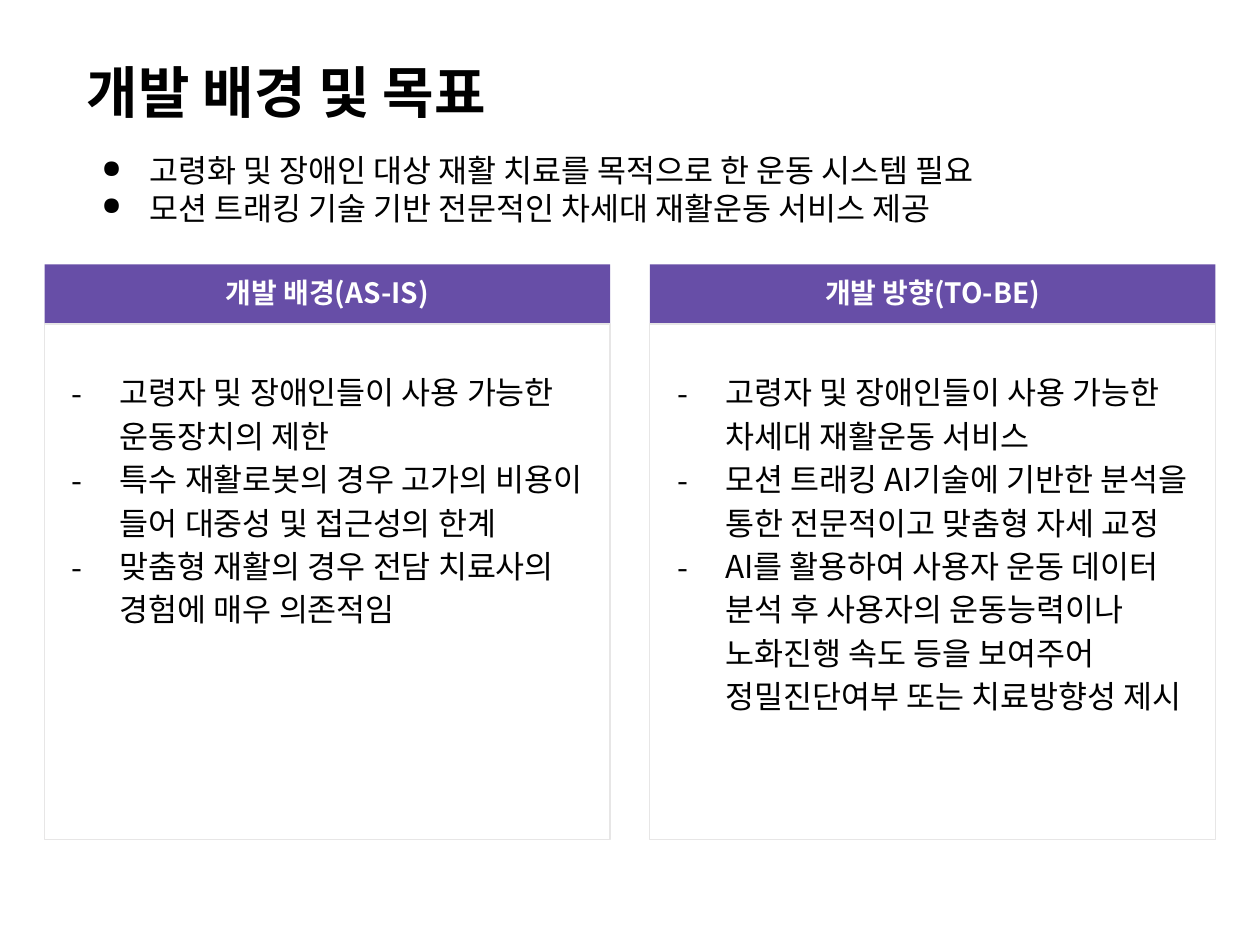
from lxml.etree import SubElement as Sub
from pptx import Presentation
from pptx.dml.color import RGBColor as Rgb
from pptx.enum.shapes import MSO_SHAPE as Form
from pptx.enum.text import MSO_ANCHOR as Anchor, PP_ALIGN as Align
from pptx.oxml.ns import qn
from pptx.util import Cm, Pt

FONT = "Noto Sans CJK KR"
HUE = {"ink": "000000", "paper": "FFFFFF", "head": "674EA7", "edge": "E7E6E6"}
WIDE, TALL = 25.4, 19.05
SIDE, INSET = 0.9, 1.5
CARD, HEAD, BODY = 11.4, 1.2, 10.39
TOP = 5.33

GOALS = [
    "고령화 및 장애인 대상 재활 치료를 목적으로 한 운동 시스템 필요",
    "모션 트래킹 기술 기반 전문적인 차세대 재활운동 서비스 제공",
]
CARDS = [
    ("개발 배경(AS-IS)", [
        "고령자 및 장애인들이 사용 가능한 운동장치의 제한",
        "특수 재활로봇의 경우 고가의 비용이 들어 대중성 및 접근성의 한계",
        "맞춤형 재활의 경우 전담 치료사의 경험에 매우 의존적임",
    ]),
    ("개발 방향(TO-BE)", [
        "고령자 및 장애인들이 사용 가능한 차세대 재활운동 서비스",
        "모션 트래킹 AI기술에 기반한 분석을 통한 전문적이고 맞춤형 자세 교정",
        "AI를 활용하여 사용자 운동 데이터 분석 후 사용자의 운동능력이나 "
        "노화진행 속도 등을 보여주어 정밀진단여부 또는 치료방향성 제시",
    ]),
]


def tint(name):
    """Return the named colour."""
    return Rgb.from_string(HUE[name])


def add_run(para, text, size, hue="ink", bold=False):
    """Add one run in the slide's font."""
    run = para.add_run()
    run.text = text
    font = run.font
    font.size, font.bold, font.name = Pt(size), bold, FONT
    font.color.rgb = tint(hue)


def set_frame(shape, anchor=Anchor.TOP, top=0.13, right=0.25):
    """Set wrapping, margins and anchor, and return the text frame."""
    frame = shape.text_frame
    frame.word_wrap = True
    frame.vertical_anchor = anchor
    frame.margin_left, frame.margin_right = Cm(0.25), Cm(right)
    frame.margin_top, frame.margin_bottom = Cm(top), Cm(0.13)
    return frame


def add_list(frame, items, mark, space, scale=100, face=None):
    """Fill a frame with items that hang from a bullet mark."""
    for i, item in enumerate(items):
        para = frame.add_paragraph() if i else frame.paragraphs[0]
        para.alignment = Align.LEFT
        para.line_spacing = space
        props = para._p.get_or_add_pPr()
        props.set("marL", str(Cm(1.27)))
        props.set("indent", str(-Cm(0.97)))
        Sub(Sub(props, qn("a:buClr")), qn("a:srgbClr"), val=HUE["ink"])
        Sub(props, qn("a:buSzPct"), val=str(scale * 1000))
        if face:
            Sub(props, qn("a:buFont"), typeface=face)
        Sub(props, qn("a:buChar"), char=mark)
        add_run(para, item, 18)


def add_label(shape, text, size, hue, align):
    """Put one bold line in the middle of a shape's height."""
    para = set_frame(shape, Anchor.MIDDLE).paragraphs[0]
    para.alignment, para.line_spacing = align, 0.9
    add_run(para, text, size, hue, True)


def add_box(slide, left, top, tall, fill=None, edge=None):
    """Add a card-wide rectangle with an optional fill and edge."""
    box = slide.shapes.add_shape(
        Form.RECTANGLE, Cm(left), Cm(top), Cm(CARD), Cm(tall))
    box.shadow.inherit = False
    if fill:
        box.fill.solid()
        box.fill.fore_color.rgb = tint(fill)
    else:
        box.fill.background()
    if edge:
        box.line.color.rgb = tint(edge)
        box.line.width = Pt(0.75)
    else:
        box.line.fill.background()
    return box


def add_card(slide, left, title, items):
    """Add a titled card with a dashed list."""
    head = add_box(slide, left, TOP, HEAD, fill="head")
    add_label(head, title, 16, "paper", Align.CENTER)
    body = add_box(slide, left, TOP + HEAD, BODY, edge="edge")
    frame = set_frame(body, top=0.88, right=0.35)
    add_list(frame, items, "-", 1.15, face=FONT)


def add_text(slide, top, wide, tall):
    """Add a text box at the left inset."""
    return slide.shapes.add_textbox(Cm(INSET), Cm(top), Cm(wide), Cm(tall))


def main():
    """Build and save the slide."""
    deck = Presentation()
    deck.slide_width, deck.slide_height = Cm(WIDE), Cm(TALL)
    slide = deck.slides.add_slide(deck.slide_layouts[6])
    title = add_text(slide, 1.32, 14.55, 1.2)
    add_label(title, "개발 배경 및 목표", 32, "ink", Align.LEFT)
    goals = add_text(slide, 2.92, WIDE - SIDE - INSET, 1.8)
    add_list(set_frame(goals), GOALS, "●", 1.0, scale=80)
    for left, card in zip((SIDE, WIDE - SIDE - CARD), CARDS):
        add_card(slide, left, *card)
    deck.save("out.pptx")


main()
